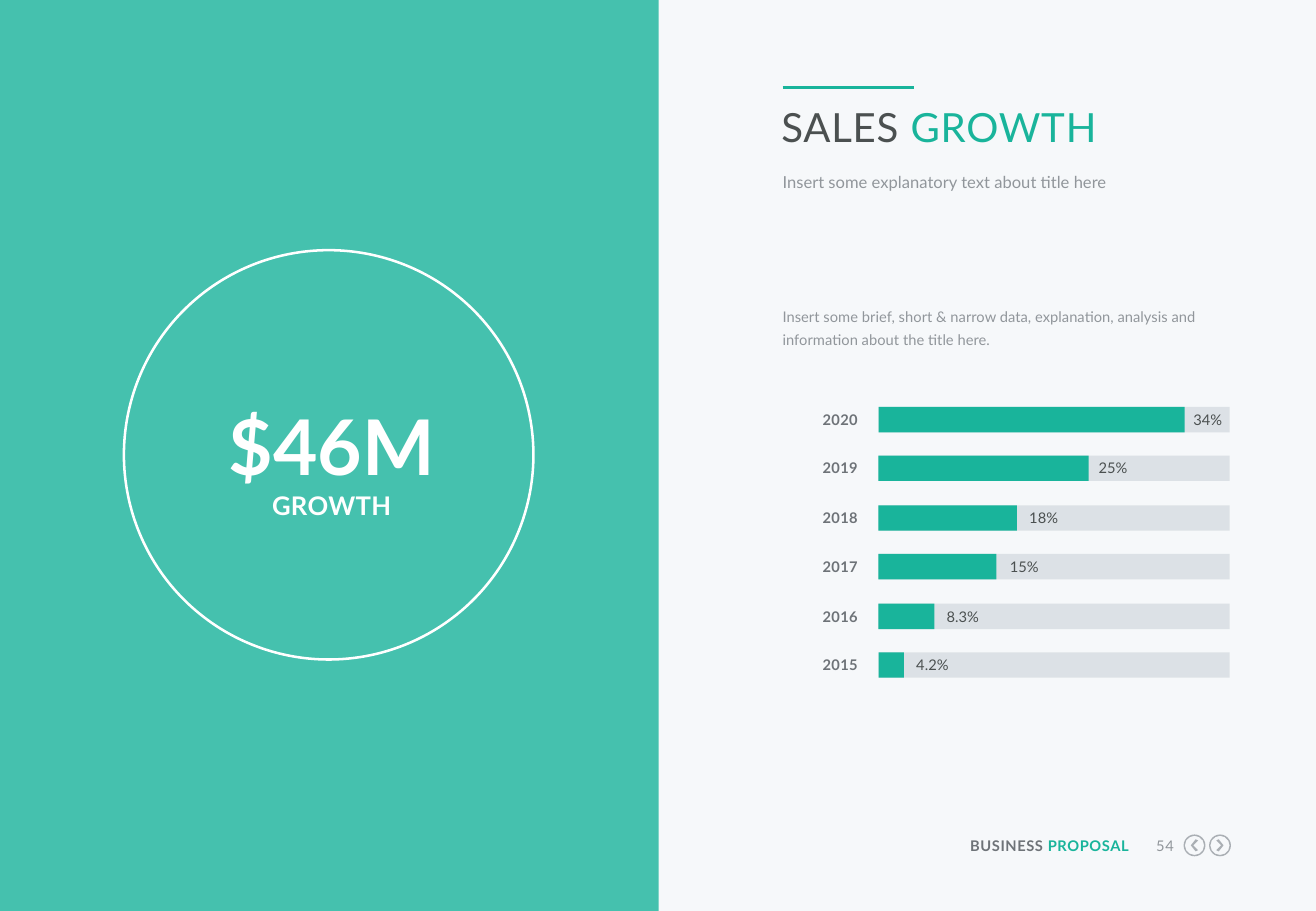
from lxml import etree
from pptx import Presentation
from pptx import util as u
from pptx.dml.color import RGBColor
from pptx.enum import shapes, text
from pptx.oxml.ns import qn

PX = 9144  # 100 px to the inch

TEAL = "19B49B"
WHITE = "FFFFFF"
DARK = "4B5050"
STRONG = "6E7378"
MUTED = "91969B"
ICON = "AAAFB4"
TRACK = "DCE1E6"
BACKGROUND = "F6F8FA"

LEFT = text.PP_ALIGN.LEFT
CENTER = text.PP_ALIGN.CENTER
RIGHT = text.PP_ALIGN.RIGHT

# year, share, bar width, gap between bar and label
SALES = [
    ("2020", "34%", 252, 7),
    ("2019", "25%", 173, 8),
    ("2018", "18%", 114, 10),
    ("2017", "15%", 97, 11),
    ("2016", "8.3%", 46, 10),
    ("2015", "4.2%", 21, 10),
]
BAR_LEFT, BAR_TOP, BAR_HEIGHT = 723, 335, 21
TRACK_WIDTH = 289
ROW_STEP = 40.4

ICON_SIZE = 18
CHEVRON = [(6, 5), (10, 9), (6, 13), (8, 14), (12, 9), (8, 4)]


def px(*lengths):
    return [u.Emu(length * PX) for length in lengths]


def paint(color_format, color):
    color_format.rgb = RGBColor.from_string(color)


def fill_shape(shape, color):
    shape.shadow.inherit = False
    shape.fill.solid()
    paint(shape.fill.fore_color, color)
    shape.line.fill.background()


def add_block(slide, box, color, kind=shapes.MSO_SHAPE.RECTANGLE, alpha=None):
    """Add a filled preset shape without outline; alpha is in percent."""
    shape = slide.shapes.add_shape(kind, *px(*box))
    fill_shape(shape, color)
    if alpha is not None:
        color_element = shape.fill._xPr.find(qn("a:solidFill"))[0]
        etree.SubElement(color_element, qn("a:alpha"), val=str(alpha * 1000))
    return shape


def add_ring(slide, box, color, width):
    shape = slide.shapes.add_shape(shapes.MSO_SHAPE.OVAL, *px(*box))
    shape.shadow.inherit = False
    shape.fill.background()
    paint(shape.line.color, color)
    shape.line.width = u.Pt(width)


def add_rule(slide, left, right, y, color, width):
    line = slide.shapes.add_connector(
        shapes.MSO_CONNECTOR.STRAIGHT, *px(left, y, right, y))
    paint(line.line.color, color)
    line.line.width = u.Pt(width)
    etree.SubElement(line._element.spPr, qn("a:effectLst"))


def add_text(slide, box, *parts, size=8.7, bold=False, align=LEFT,
             tracking=0, line_spacing=None):
    """Add one paragraph made of (wording, colour) parts."""
    frame = slide.shapes.add_textbox(*px(*box)).text_frame
    frame.margin_left = frame.margin_right = 0
    frame.margin_top = frame.margin_bottom = 0
    frame.word_wrap = True
    frame.auto_size = text.MSO_AUTO_SIZE.SHAPE_TO_FIT_TEXT
    paragraph = frame.paragraphs[0]
    paragraph.alignment = align
    if line_spacing:
        paragraph.line_spacing = line_spacing
    for wording, color in parts:
        run = paragraph.add_run()
        run.text = wording
        run.font.name = "Lato"
        run.font.size = u.Emu(round(size * 12700))
        run.font.bold = bold
        paint(run.font.color, color)
        if tracking:
            run._r.get_or_add_rPr().set("spc", str(round(tracking * 100)))


def add_page_arrow(slide, left, top, forward):
    circle = add_block(slide, (left, top, ICON_SIZE, ICON_SIZE), ICON,
                       shapes.MSO_SHAPE.DONUT)
    circle.adjustments[0] = 0.06
    points = [(left + (x if forward else ICON_SIZE - x), top + y)
              for x, y in CHEVRON]
    builder = slide.shapes.build_freeform(*points[0], scale=PX)
    builder.add_line_segments(points[1:], close=True)
    fill_shape(builder.convert_to_shape(), ICON)


def add_footer(slide):
    add_text(slide, (792, 689, 137, 15), ("BUSINESS ", STRONG),
             ("PROPOSAL", TEAL), bold=True, align=RIGHT, tracking=0.3)
    add_text(slide, (941, 689, 25, 15), ("54", MUTED),
             align=RIGHT, tracking=0.3)
    add_page_arrow(slide, 974, 687, forward=False)
    add_page_arrow(slide, 995, 687, forward=True)


def add_growth_panel(slide):
    add_block(slide, (0, 0, 542, 750), TEAL, alpha=80)
    add_ring(slide, (102, 206, 337, 337), WHITE, 1.5)
    add_text(slide, (160, 313, 226, 92), ("$46M", WHITE), size=45.5,
             bold=True, align=CENTER, line_spacing=1.2)
    add_text(slide, (160, 403, 226, 26), ("GROWTH", WHITE), size=15.2,
             bold=True, align=CENTER, tracking=0.2)


def add_heading(slide):
    add_rule(slide, 644, 752, 72, TEAL, 2.25)
    add_text(slide, (643, 84, 370, 40), ("SALES ", DARK), ("GROWTH", TEAL),
             size=23.8, tracking=0.5)
    add_text(slide, (644, 141, 369, 17),
             ("Insert some explanatory text about title here", MUTED),
             size=9.8, line_spacing=u.Pt(12))
    add_text(slide, (644, 249, 368, 38),
             ("Insert some brief, short & narrow data, explanation, "
              "analysis and information about the title here.", MUTED),
             line_spacing=1.3)


def add_sales_row(slide, top, year, share, width, gap):
    add_text(slide, (643, top + 3, 63, 15), (year, STRONG),
             bold=True, align=RIGHT, tracking=0.2)
    add_block(slide, (BAR_LEFT, top, TRACK_WIDTH, BAR_HEIGHT), TRACK)
    add_block(slide, (BAR_LEFT, top, width, BAR_HEIGHT), TEAL)
    add_text(slide, (BAR_LEFT + width + gap, top + 3, 29, 15), (share, DARK))


def main():
    presentation = Presentation()
    presentation.slide_width, presentation.slide_height = px(1083, 750)
    slide = presentation.slides.add_slide(presentation.slide_layouts[6])
    slide.background.fill.solid()
    paint(slide.background.fill.fore_color, BACKGROUND)

    add_footer(slide)
    add_growth_panel(slide)
    add_heading(slide)
    for row, sale in enumerate(SALES):
        add_sales_row(slide, BAR_TOP + round(row * ROW_STEP), *sale)

    presentation.save("out.pptx")


if __name__ == "__main__":
    main()
